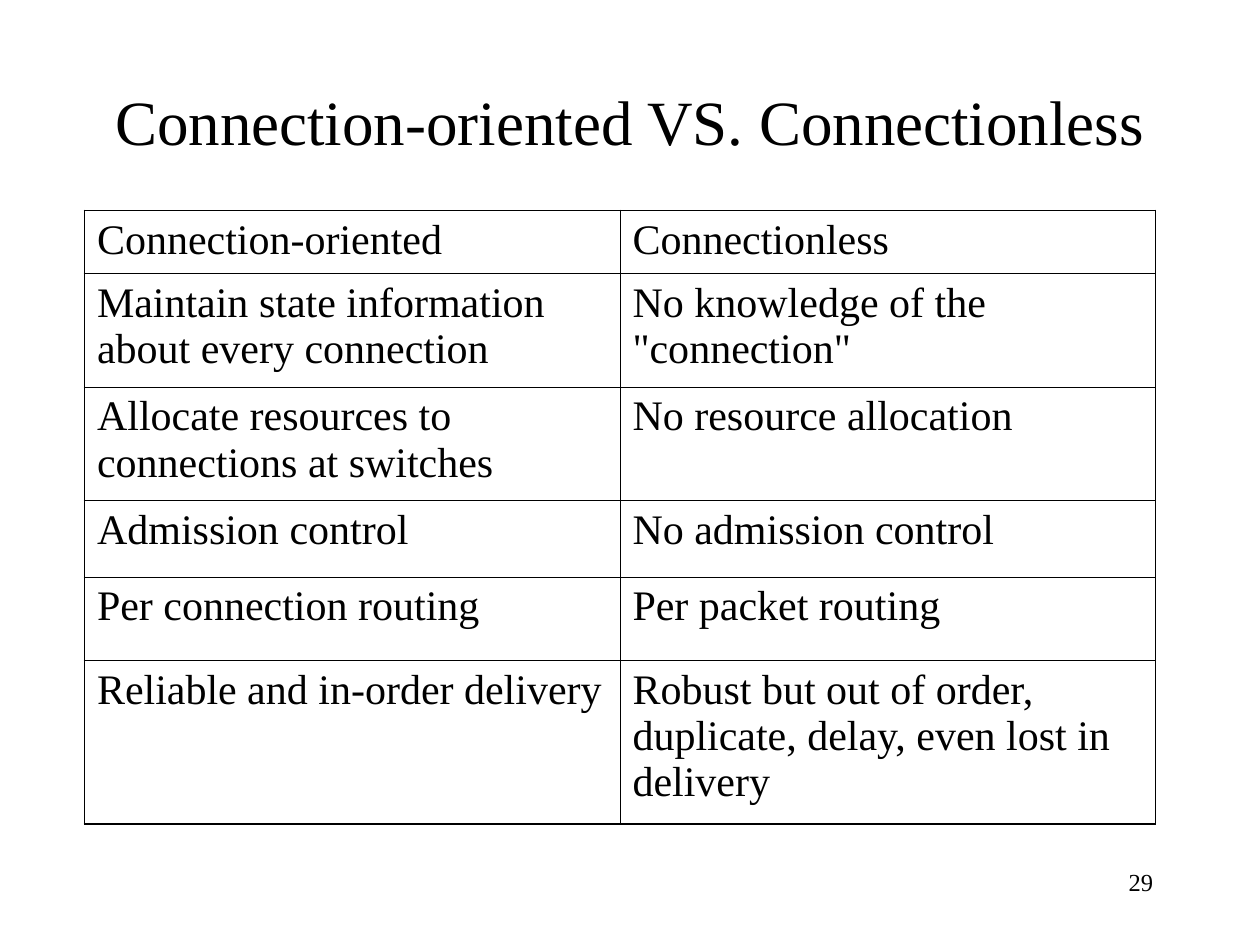
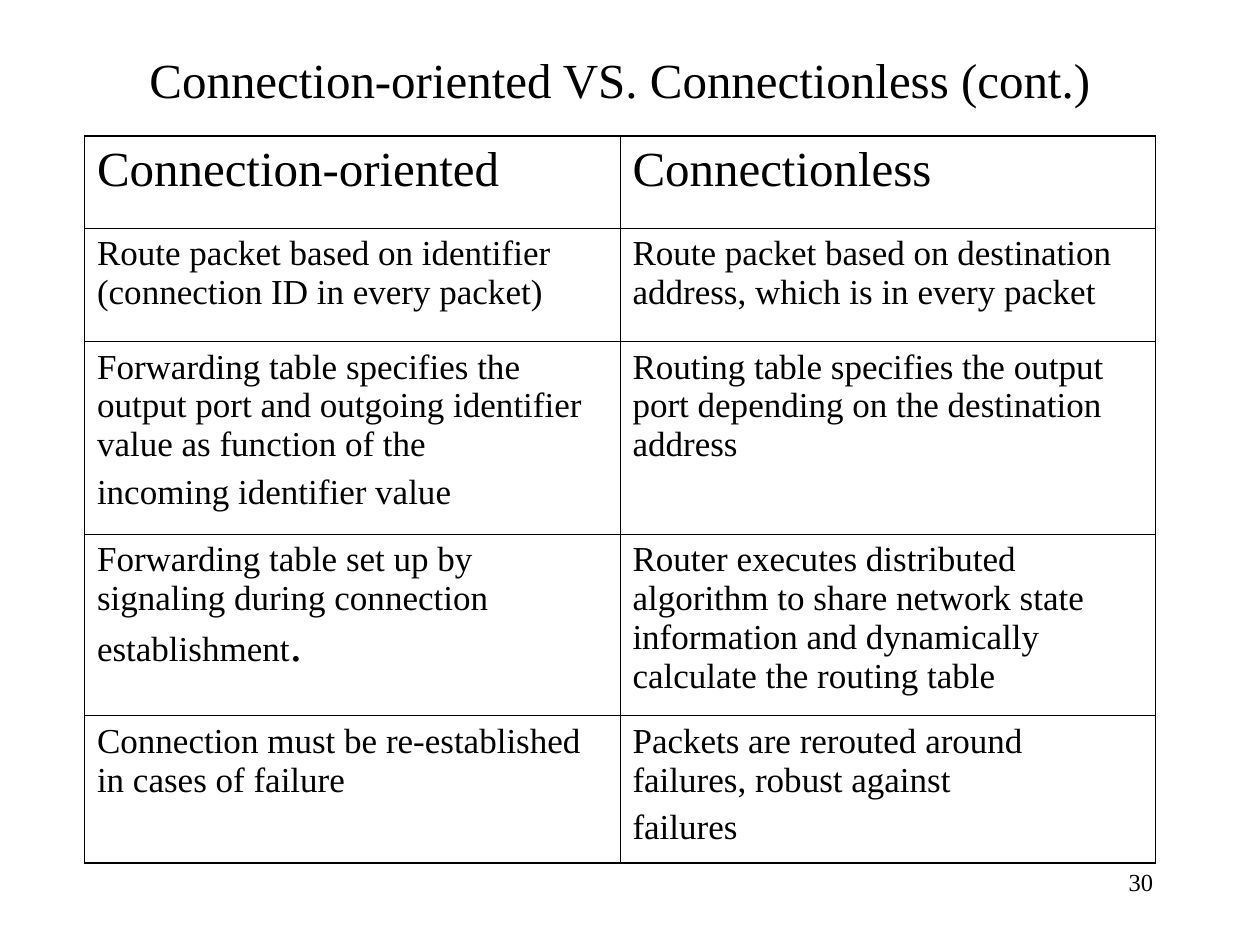
from lxml.etree import SubElement
from pptx import Presentation
from pptx.dml.color import RGBColor
from pptx.enum.text import MSO_ANCHOR, PP_ALIGN
from pptx.oxml.ns import qn
from pptx.util import Inches, Pt

# Shared look
FONT, INK = "Times New Roman", "000000"
OUTER, INNER = 1.08, 0.45          # border widths in points
WIDTH, HEIGHT = 10, 7.5
LEFT, TABLE_WIDTH, TITLE_HEIGHT = 0.67, 8.5, 1.25
NUMBER_BOX = (7.17, 6.83, 2.08, 0.5)

# A cell is a list of paragraphs; a paragraph is a list of (text, size) spans.
# A plain string is one paragraph in the body size of its slide.
SLIDES = [
    dict(
        title="Connection-oriented VS. Connectionless", title_size=36,
        title_at=(0.75, 0.33), number="29", top=1.67,
        head_size=24, body_size=24,
        heights=[0.5, 0.9, 0.9, 0.61, 0.66, 1.3],
        rows=[
            ("Connection-oriented", "Connectionless"),
            ("Maintain state information about every connection",
             'No knowledge of the "connection"'),
            ("Allocate resources to connections at switches",
             "No resource allocation"),
            ("Admission control", "No admission control"),
            ("Per connection routing", "Per packet routing"),
            ("Reliable and in-order delivery",
             "Robust but out of order, duplicate, delay, even lost in delivery"),
        ]),
    dict(
        title="Connection-oriented VS. Connectionless (cont.)", title_size=28,
        title_at=(LEFT, 0), number="30", top=1.08,
        head_size=28, body_size=20,
        heights=[0.73, 0.9, 1.53, 1.44, 1.17],
        rows=[
            ("Connection-oriented", "Connectionless"),
            ("Route packet based on identifier (connection ID in every packet)",
             "Route packet based on destination address, which is in every packet"),
            ([[("Forwarding table specifies the output port and outgoing "
                "identifier value as function of the", 20)],
              [("incoming identifier value", 20)]],
             "Routing table specifies the output port depending on the "
             "destination address"),
            ([[("Forwarding table set up by signaling during connection "
                "establishment", 20), (".", 28)]],
             "Router executes distributed algorithm to share network state "
             "information and dynamically calculate the routing table"),
            ("Connection must be re-established in cases of failure",
             [[("Packets are rerouted around failures, robust against", 20)],
              [("failures", 20)]]),
        ]),
]


def color(hex_text):
    return RGBColor.from_string(hex_text)


def write(frame, paragraphs, align=PP_ALIGN.LEFT, spaced=False):
    """Fill a text frame; spaced paragraphs get a quarter of their size before."""
    for index, spans in enumerate(paragraphs):
        para = frame.add_paragraph() if index else frame.paragraphs[0]
        para.alignment = align
        if spaced:
            para.space_before = Pt(max(size for _, size in spans) // 4)
        for text, size in spans:
            span = para.add_run()
            span.text = text
            for name, value in dict(name=FONT, size=Pt(size)).items():
                setattr(span.font, name, value)
            span.font.color.rgb = color(INK)


def add_text(page, place, text, size, align, anchor):
    box = page.shapes.add_textbox(*map(Inches, place))
    settings = dict(word_wrap=True, vertical_anchor=anchor)
    for name, value in settings.items():
        setattr(box.text_frame, name, value)
    write(box.text_frame, [[(text, size)]], align)


def draw_borders(cell, widths):
    properties = cell._tc.get_or_add_tcPr()
    for side, width in widths.items():
        line = SubElement(properties, qn(f"a:ln{side}"), w=str(Pt(width)))
        fill = SubElement(line, qn("a:solidFill"))
        SubElement(fill, qn("a:srgbClr"), val=INK)


def add_comparison(page, content):
    rows, heights = content["rows"], content["heights"]
    last_row, last_column = len(rows) - 1, len(rows[0]) - 1
    place = (LEFT, content["top"], TABLE_WIDTH, sum(heights))
    table = page.shapes.add_table(
        len(rows), len(rows[0]), *map(Inches, place)).table
    for name in ("first_row", "horz_banding"):
        setattr(table, name, False)
    for column in table.columns:
        column.width = Inches(TABLE_WIDTH / len(rows[0]))
    for r, (values, height) in enumerate(zip(rows, heights)):
        table.rows[r].height = Inches(height)
        size = content["body_size"] if r else content["head_size"]
        for c, value in enumerate(values):
            cell = table.cell(r, c)
            # Heavy frame outside, hairlines inside
            edges = dict(L=c == 0, R=c == last_column, T=r == 0, B=r == last_row)
            draw_borders(cell, {side: OUTER if outside else INNER
                                for side, outside in edges.items()})
            cell.fill.background()
            paragraphs = [[(value, size)]] if isinstance(value, str) else value
            write(cell.text_frame, paragraphs, spaced=True)


deck = Presentation()
deck.slide_width, deck.slide_height = Inches(WIDTH), Inches(HEIGHT)
for content in SLIDES:
    page = deck.slides.add_slide(deck.slide_layouts[6])
    add_text(page, (*content["title_at"], TABLE_WIDTH, TITLE_HEIGHT),
             content["title"], content["title_size"],
             PP_ALIGN.CENTER, MSO_ANCHOR.MIDDLE)
    add_comparison(page, content)
    add_text(page, NUMBER_BOX, content["number"], 14,
             PP_ALIGN.RIGHT, MSO_ANCHOR.TOP)
deck.save("out.pptx")
